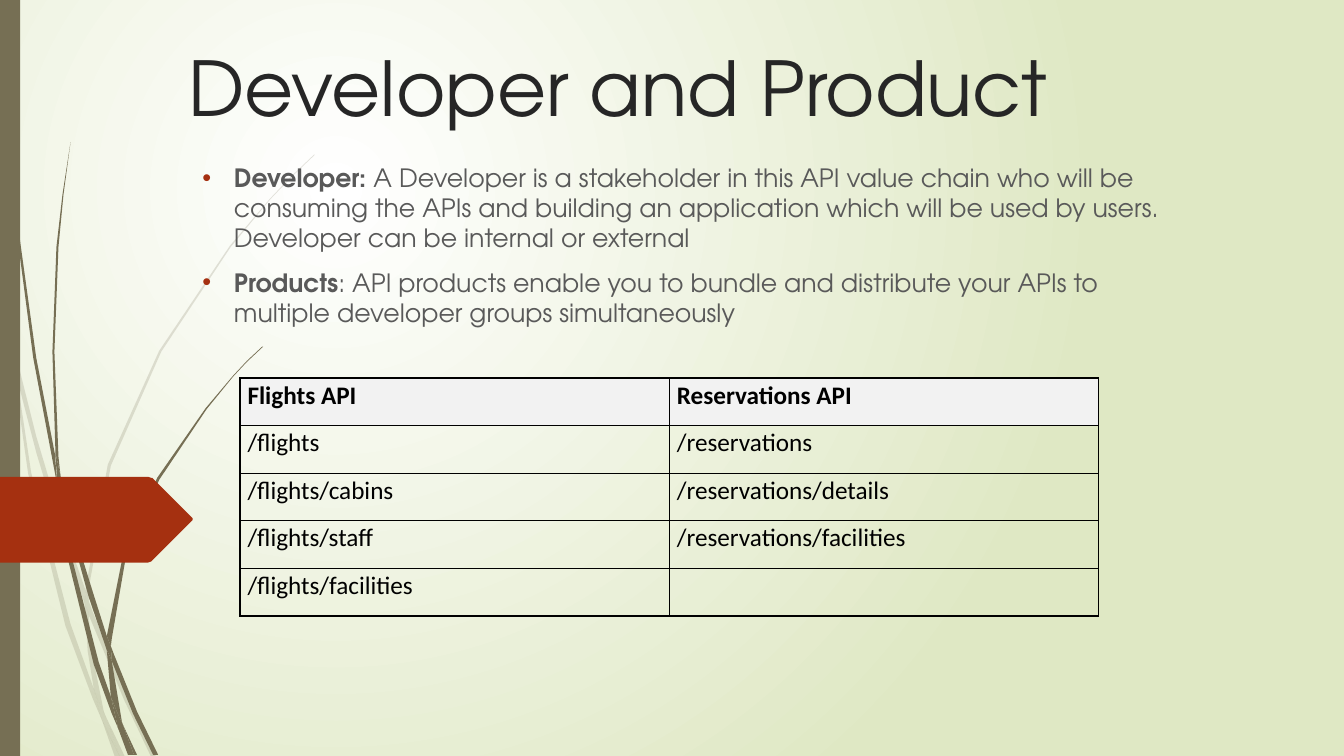
from lxml.etree import SubElement
from pptx import Presentation
from pptx.dml.color import RGBColor as Color
from pptx.enum.shapes import MSO_SHAPE as Shape
from pptx.enum.text import MSO_ANCHOR as Anchor
from pptx.oxml.ns import qn
from pptx.util import Pt

COLORS = {
    "white": "FFFFFF", "sage": "DFE8C4", "olive": "766F54", "rust": "A53010",
    "title": "262626", "body": "595959", "black": "000000", "header": "F2F2F2",
}
HEADING_FONT, TABLE_FONT = "TeX Gyre Adventor", "Calibri"
GRID = Pt(0.72)  # unit of the outline points below

# Outlines of the grass blades, piece by piece
FADED_BLADES = [
    [(11, 350), (9, 322), (0, 282), (0, 299), (10, 344)],
    [(58, 522), (84, 599), (85, 586), (62, 520), (36, 433), (14, 345), (17, 376), (36, 449)],
    [(92, 607), (88, 596), (88, 610), (123, 694), (150, 751), (155, 751), (127, 692)],
    [(119, 751), (124, 751), (105, 711)],
    [(93, 683), (70, 619), (31, 469), (17, 376), (11, 350), (28, 470), (65, 621), (92, 693),
     (101, 714), (99, 707)],
    [(84, 599), (87, 646), (93, 683), (96, 692), (105, 711), (103, 706), (91, 646), (88, 610),
     (88, 608)],
    [(88, 584), (110, 462), (160, 349), (229, 245), (268, 198), (290, 175), (312, 154),
     (312, 153), (289, 175), (268, 197), (228, 244), (158, 348), (107, 461), (85, 584),
     (85, 586), (88, 596)],
    [(101, 714), (114, 751), (119, 751)],
    [(88, 608), (88, 610), (88, 596), (85, 586), (84, 599)],
    [(96, 692), (93, 683), (99, 707), (101, 714), (119, 751), (105, 711)],
]
SOLID_BLADES = [
    [(7, 110), (17, 233), (33, 355), (56, 477), (57, 481), (55, 457), (55, 453), (36, 355),
     (19, 232), (8, 109), (5, 48), (4, 0), (3, 0), (4, 48)],
    [(88, 592), (106, 645), (106, 633), (106, 631), (93, 590), (75, 532), (60, 472), (64, 505)],
    [(113, 649), (110, 641), (111, 656), (132, 708), (152, 749), (157, 749), (136, 706)],
    [(110, 691), (98, 657), (72, 556), (64, 505), (57, 477), (68, 557), (93, 659), (111, 708),
     (117, 722), (116, 717)],
    [(60, 472), (58, 453), (54, 349), (58, 245), (63, 193), (70, 141), (62, 193), (56, 245),
     (52, 349), (55, 449)],
    [(133, 749), (136, 749), (122, 719)],
    [(57, 477), (64, 505), (60, 472), (55, 449), (55, 453)],
    [(111, 633), (125, 552), (158, 476), (205, 406), (231, 374), (245, 359), (261, 344),
     (260, 344), (245, 358), (231, 373), (204, 405), (156, 474), (122, 551), (106, 631),
     (110, 641)],
    [(117, 722), (127, 749), (131, 749)],
    [(106, 645), (110, 691), (116, 706), (122, 719), (121, 716), (111, 656), (109, 651)],
    [(106, 645), (109, 651), (111, 656), (110, 641), (106, 631), (106, 633)],
    [(116, 706), (110, 691), (116, 717), (117, 722), (130, 749), (133, 749), (122, 719)],
]
TAG = [(0, 0), (147, 0), (150, 1), (151, 1), (190, 40), (191, 41), (191, 43), (190, 44),
       (151, 83), (150, 84), (147, 85), (0, 85)]

DEFINITIONS = [
    ("Developer: ", "A Developer is a stakeholder in this API value chain who will be consuming "
     "the APIs and building an application which will be used by users. Developer can be "
     "internal or external"),
    ("Products", ": API products enable you to bundle and distribute your APIs to multiple "
     "developer groups simultaneously"),
]
RESOURCES = [
    ("Flights API", "Reservations API"),
    ("/flights", "/reservations"),
    ("/flights/cabins", "/reservations/details"),
    ("/flights/staff", "/reservations/facilities"),
    ("/flights/facilities", ""),
]


def color(name):
    return Color.from_string(COLORS[name])


def paint(shape, name):
    shape.shadow.inherit = False
    shape.fill.solid()
    shape.fill.fore_color.rgb = color(name)
    shape.line.fill.background()


def add_run(paragraph, text, size, font, color_name, bold=False):
    run = paragraph.add_run()
    run.text = text
    run.font.size, run.font.name, run.font.bold = Pt(size), font, bold
    run.font.color.rgb = color(color_name)


def add_text_frame(slide, left, top, width, height):
    frame = slide.shapes.add_textbox(Pt(left), Pt(top), Pt(width), Pt(height)).text_frame
    frame.word_wrap = True
    return frame


def add_outline(shapes, points, left, top, color_name):
    builder = shapes.build_freeform(*points[0], scale=GRID)
    builder.add_line_segments(points[1:], close=True)
    shape = builder.convert_to_shape(Pt(left), Pt(top))
    paint(shape, color_name)
    return shape


def set_background(slide):
    fill = slide.background.fill
    fill.gradient()
    for stop, name in zip(fill.gradient_stops, ("white", "sage")):
        stop.color.rgb = color(name)
    gradient = slide.element.find(".//" + qn("a:gradFill"))
    gradient.remove(gradient.find(qn("a:lin")))
    circle = SubElement(gradient, qn("a:path"), path="circle")
    SubElement(circle, qn("a:fillToRect"), l="50000", t="50000", r="100000", b="100000")


def add_blades(slide, blades, left, top, opacity=100):
    group = slide.shapes.add_group_shape()
    for points in blades:
        blade = add_outline(group.shapes, points, left, top, "olive")
        if opacity < 100:
            tint = blade.element.spPr.find(qn("a:solidFill"))[0]
            SubElement(tint, qn("a:alpha"), val=str(opacity * 1000))


def add_side_decoration(slide, left, top, height):
    add_blades(slide, FADED_BLADES, left, top, opacity=20)
    add_blades(slide, SOLID_BLADES, left, top)
    bar = slide.shapes.add_shape(Shape.RECTANGLE, Pt(left), Pt(top), Pt(14.4), Pt(height))
    paint(bar, "olive")
    add_outline(slide.shapes, TAG, left, top + 340.6, "rust")


def add_title(slide, left, top, width, height):
    frame = add_text_frame(slide, left, top, width, height)
    frame.vertical_anchor = Anchor.BOTTOM
    add_run(frame.paragraphs[0], "Developer and Product", 54, HEADING_FONT, "title")


def add_definitions(slide, left, top, width, height):
    frame = add_text_frame(slide, left, top, width, height)
    for index, (term, meaning) in enumerate(DEFINITIONS):
        paragraph = frame.add_paragraph() if index else frame.paragraphs[0]
        properties = paragraph._p.get_or_add_pPr()
        properties.set("marL", str(Pt(22.5)))
        properties.set("indent", str(-Pt(22.5)))
        bullet_color = SubElement(properties, qn("a:buClr"))
        SubElement(bullet_color, qn("a:srgbClr"), val=COLORS["rust"])
        SubElement(properties, qn("a:buFont"), typeface="Arial")
        SubElement(properties, qn("a:buChar"), char="•")
        paragraph.space_before = Pt(10 if index else 0)
        add_run(paragraph, term, 18, HEADING_FONT, "body", bold=True)
        add_run(paragraph, meaning, 18, HEADING_FONT, "body")


def add_borders(cell):
    properties = cell._tc.get_or_add_tcPr()
    for side in ("lnL", "lnR", "lnT", "lnB"):
        line = SubElement(properties, qn("a:" + side), w=str(Pt(1)))
        SubElement(SubElement(line, qn("a:solidFill")), qn("a:srgbClr"), val=COLORS["black"])


def add_resource_table(slide, left, top, width, height):
    table = slide.shapes.add_table(
        len(RESOURCES), 2, Pt(left), Pt(top), Pt(width), Pt(height)).table
    table.first_row = table.horz_banding = False
    for row, texts in enumerate(RESOURCES):
        for column, text in enumerate(texts):
            cell = table.cell(row, column)
            cell.margin_left = cell.margin_right = Pt(5.4)
            cell.margin_top = cell.margin_bottom = Pt(0)
            add_borders(cell)
            if row == 0:
                cell.fill.solid()
                cell.fill.fore_color.rgb = color("header")
            else:
                cell.fill.background()
            if text:
                paragraph = cell.text_frame.paragraphs[0]
                paragraph.line_spacing = 1.07
                add_run(paragraph, text, 18, TABLE_FONT, "black", bold=row == 0)


def main():
    presentation = Presentation()
    presentation.slide_width, presentation.slide_height = Pt(960), Pt(540)
    slide = presentation.slides.add_slide(presentation.slide_layouts[6])
    set_background(slide)
    add_side_decoration(slide, 0, 0, 540)
    add_title(slide, 127.4, 7.9, 702, 90)
    add_definitions(slide, 137.5, 112.3, 702, 375.8)
    add_resource_table(slide, 171.4, 270, 613.4, 170)
    presentation.save("out.pptx")


if __name__ == "__main__":
    main()
